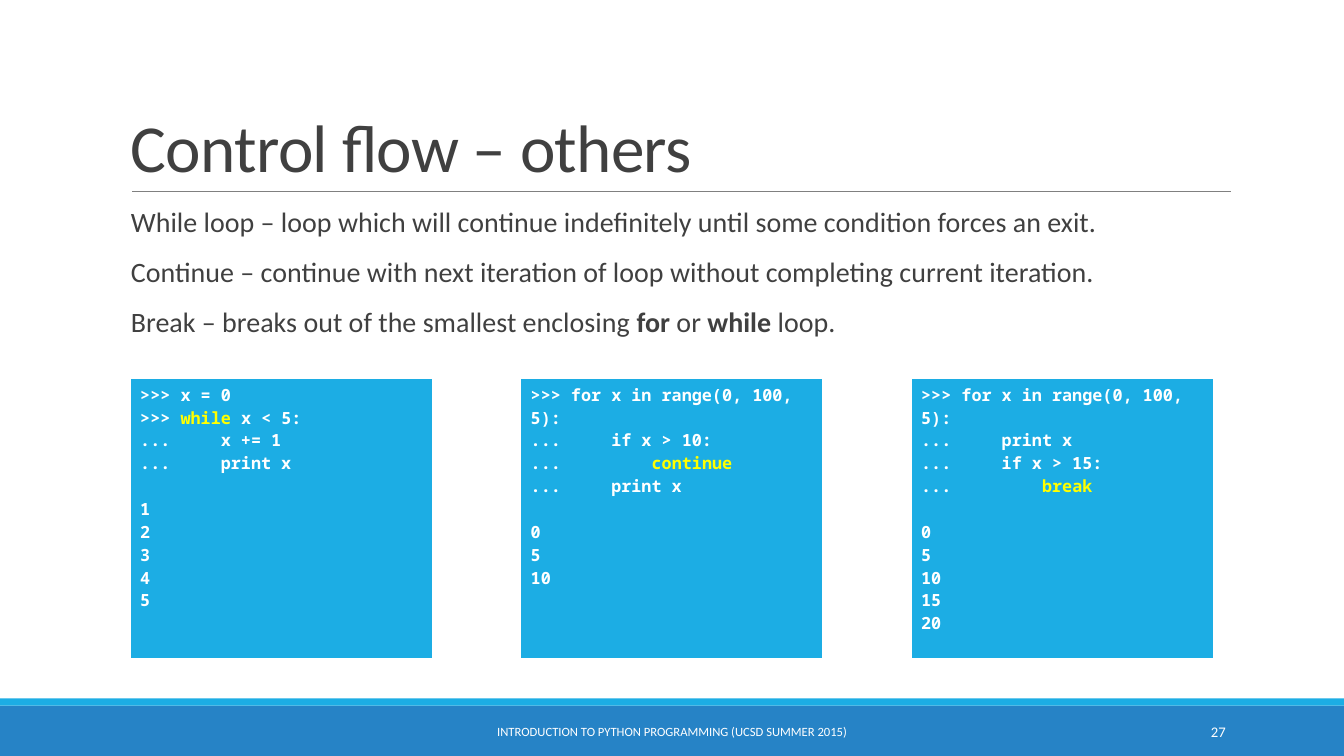
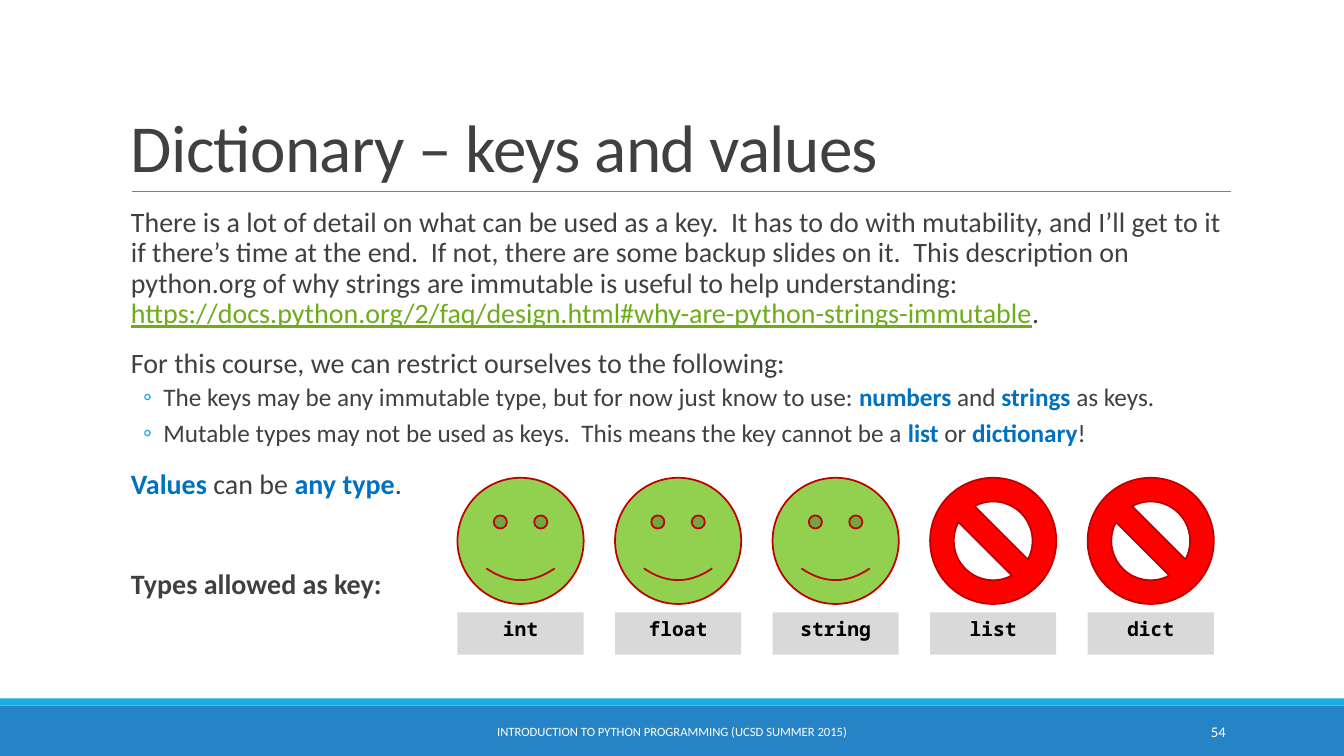
from collections import namedtuple

import pptx
import pptx.dml.color
import pptx.enum.shapes
import pptx.enum.text
import pptx.oxml
import pptx.oxml.ns
import pptx.util
from lxml import etree

Cm = pptx.util.Cm
Pt = pptx.util.Pt
SHAPE = pptx.enum.shapes.MSO_SHAPE
ALIGN = pptx.enum.text.PP_ALIGN
ANCHOR = pptx.enum.text.MSO_ANCHOR
qn = pptx.oxml.ns.qn

Box = namedtuple("Box", "left top width height")
Paragraph = namedtuple("Paragraph", "runs font layout bullet", defaults=(None,))

INK, WHITE, BLACK = "404040", "FFFFFF", "000000"
SKY, BLUE, EMPHASIS = "1CADE4", "2683C6", "0070C0"
YELLOW, LINK = "FFFF00", "6EAC1C"
RULE, LABEL_GREY = "808080", "D9D9D9"
GREEN, RED, DARK_RED = "92D050", "FF0000", "C00000"

PAGE = Box(0, 0, 33.87, 19.05)
TITLE = Box(3.05, 0.79, 27.94, 4.04)
BODY = Box(3.05, 5.13, 27.94, 11.18)
FOOTER = Box(0, 17.6, 33.87, 1.45)
CODE_ROW = Box(3.28, 9.53, 27.3, 7.09)
KEY_ROW = Box(11.53, 12.04, 19.06, 4.46)

FOOTER_TEXT = "INTRODUCTION TO PYTHON PROGRAMMING (UCSD SUMMER 2015)"

TITLE_FONT = {"name": "Calibri", "size": Pt(48), "color": INK}
BODY_FONT = {"name": "Calibri", "size": Pt(20), "color": INK}
DETAIL_FONT = BODY_FONT | {"size": Pt(18)}
FOOTER_FONT = {"name": "Calibri", "size": Pt(9), "color": WHITE}
NUMBER_FONT = FOOTER_FONT | {"size": Pt(10.5)}
CODE_FONT = {"name": "Noto Sans Mono", "size": Pt(12), "color": WHITE, "bold": True}
LABEL_FONT = CODE_FONT | {"size": Pt(14), "color": BLACK}

BOLD = {"bold": True}
STRONG = {"bold": True, "color": EMPHASIS}
URL = {"underline": True, "color": LINK}
KEYWORD = {"color": YELLOW}

BODY_LAYOUT = {"line_spacing": 0.9, "space_before": Pt(12), "space_after": Pt(2)}
DETAIL_LAYOUT = {"line_spacing": 0.9, "space_before": Pt(2), "space_after": Pt(4)}
BODY_INDENT, DETAIL_INDENT, DETAIL_HANG = 0.25, 1.07, 0.51


def rgb(value):
    return pptx.dml.color.RGBColor.from_string(value)


def apply(target, values):
    for name, value in values.items():
        if name == "color":
            target.color.rgb = rgb(value)
        else:
            setattr(target, name, value)


def place(box):
    return [Cm(length) for length in box]


def write(frame, paragraphs):
    for index, content in enumerate(paragraphs):
        paragraph = frame.add_paragraph() if index else frame.paragraphs[0]
        if content.bullet:
            content.bullet(paragraph)
        layout = content.layout if index else content.layout | {"space_before": Pt(0)}
        apply(paragraph, layout)
        for item in content.runs:
            words, emphasis = (item, {}) if isinstance(item, str) else item
            run = paragraph.add_run()
            run.text = words
            apply(run.font, content.font | emphasis)


def add_text(slide, box, paragraphs, **frame_format):
    frame = slide.shapes.add_textbox(*place(box)).text_frame
    apply(frame, {"word_wrap": True} | frame_format)
    write(frame, paragraphs)
    return frame


def add_block(slide, kind, box, fill, outline=None):
    block = slide.shapes.add_shape(kind, *place(box))
    block.shadow.inherit = False
    block.fill.solid()
    block.fill.fore_color.rgb = rgb(fill)
    if outline:
        block.line.color.rgb = rgb(outline)
        block.line.width = Pt(1.25)
    else:
        block.line.fill.background()
    return block


def body_indent(paragraph):
    paragraph._p.get_or_add_pPr().set("marL", str(Cm(BODY_INDENT)))


def detail_bullet(paragraph):
    properties = paragraph._p.get_or_add_pPr()
    properties.set("marL", str(Cm(DETAIL_INDENT)))
    properties.set("indent", str(-Cm(DETAIL_HANG)))
    colour = etree.SubElement(properties, qn("a:buClr"))
    etree.SubElement(colour, qn("a:srgbClr")).set("val", SKY)
    etree.SubElement(properties, qn("a:buFont")).set("typeface", "Calibri")
    etree.SubElement(properties, qn("a:buChar")).set("char", "◦")


def statement(*runs, **layout):
    return Paragraph(runs, BODY_FONT, BODY_LAYOUT | layout, body_indent)


def detail(*runs):
    return Paragraph(runs, DETAIL_FONT, DETAIL_LAYOUT, detail_bullet)


def add_title(slide, box, words):
    frame = add_text(slide, box, [Paragraph([words], TITLE_FONT, {"line_spacing": 0.85})],
                     vertical_anchor=ANCHOR.BOTTOM)
    frame.paragraphs[0].runs[0].font._element.set("spc", "-50")
    base = Cm(box.top + box.height)
    rule = slide.shapes.add_connector(
        pptx.enum.shapes.MSO_CONNECTOR.STRAIGHT,
        Cm(box.left + 0.28), base, Cm(box.left + box.width + 0.02), base)
    rule.line.color.rgb = rgb(RULE)
    rule.line.width = Pt(0.5)
    etree.SubElement(rule._element.spPr, qn("a:effectLst"))


def add_footer(slide, box, number):
    stripe = 0.18
    add_block(slide, SHAPE.RECTANGLE,
              Box(box.left, box.top + stripe, box.width, box.height - stripe), BLUE)
    add_block(slide, SHAPE.RECTANGLE, box._replace(height=stripe), SKY)
    for left, width, words, font, alignment in (
            (10.24, 13.39, FOOTER_TEXT, FOOTER_FONT, ALIGN.CENTER),
            (27.51, 3.63, str(number), NUMBER_FONT, ALIGN.RIGHT)):
        add_text(slide, Box(box.left + left, box.top + 0.33, width, 1.02),
                 [Paragraph([words], font, {"alignment": alignment})],
                 vertical_anchor=ANCHOR.MIDDLE)


def add_body(slide, box, paragraphs):
    add_text(slide, box, paragraphs, margin_left=0, margin_right=0)


def add_borders(cell):
    properties = cell._tc.get_or_add_tcPr()
    for position, (side, weight) in enumerate((("L", 1), ("R", 1), ("T", 1), ("B", 3))):
        border = etree.Element(qn(f"a:ln{side}"), w=str(Pt(weight)))
        fill = etree.SubElement(border, qn("a:solidFill"))
        etree.SubElement(fill, qn("a:srgbClr")).set("val", WHITE)
        properties.insert(position, border)


def highlight(line, keyword):
    before, found, after = line.partition(keyword)
    return [run for run in (before, (found, KEYWORD), after) if run and run[0]]


def add_code(slide, box, keyword, code, output):
    table = slide.shapes.add_table(1, 1, *place(box)).table
    apply(table, {"first_row": False, "horz_banding": False})
    cell = table.cell(0, 0)
    cell.fill.solid()
    cell.fill.fore_color.rgb = rgb(SKY)
    add_borders(cell)
    lines = [Paragraph(highlight(line, keyword), CODE_FONT, {}) for line in code]
    for index, line in enumerate(output):
        layout = {} if index else {"space_before": Pt(16.3)}
        lines.append(Paragraph([line], CODE_FONT, layout))
    write(cell.text_frame, lines)


def add_code_row(slide, box, examples):
    width = 7.62
    pitch = (box.width - width) / (len(examples) - 1)
    for index, example in enumerate(examples):
        add_code(slide, Box(box.left + index * pitch, box.top, width, box.height), *example)


def add_key_types(slide, box, key_types):
    size, label_height = 3.18, 1.07
    pitch = (box.width - size) / (len(key_types) - 1)
    for index, (name, allowed) in enumerate(key_types):
        left = box.left + index * pitch
        sign, fill = (SHAPE.SMILEY_FACE, GREEN) if allowed else (SHAPE.NO_SYMBOL, RED)
        add_block(slide, sign, Box(left, box.top, size, size), fill, DARK_RED)
        label = add_block(
            slide, SHAPE.RECTANGLE,
            Box(left, box.top + box.height - label_height, size, label_height), LABEL_GREY)
        label.text_frame.vertical_anchor = ANCHOR.TOP
        write(label.text_frame, [Paragraph([name], LABEL_FONT, {"alignment": ALIGN.CENTER})])


def add_page(deck, title, number, paragraphs):
    slide = deck.slides.add_slide(deck.slide_layouts[6])
    add_footer(slide, FOOTER, number)
    add_title(slide, TITLE, title)
    add_body(slide, BODY, paragraphs)
    return slide


def control_flow(deck):
    slide = add_page(deck, "Control flow – others", 27, [
        statement("While loop – loop which will continue indefinitely until some "
                  "condition forces an exit."),
        statement("Continue – continue with next iteration of loop without completing "
                  "current iteration."),
        statement("Break – breaks out of the smallest enclosing ", ("for", BOLD), " or ",
                  ("while", BOLD), " loop."),
    ])
    add_code_row(slide, CODE_ROW, [
        ("while",
         [">>> x = 0", ">>> while x < 5:", "...     x += 1", "...     print x"],
         ["1", "2", "3", "4", "5"]),
        ("continue",
         [">>> for x in range(0, 100, 5):", "...     if x > 10:",
          "...         continue", "...     print x"],
         ["0", "5", "10"]),
        ("break",
         [">>> for x in range(0, 100, 5):", "...     print x",
          "...     if x > 15:", "...         break"],
         ["0", "5", "10", "15", "20"]),
    ])


def dictionary_keys(deck):
    slide = add_page(deck, "Dictionary – keys and values", 54, [
        statement("There is a lot of detail on what can be used as a key.  It has to do with "
                  "mutability, and I’ll get to it if there’s time at the end.  If not, there "
                  "are some backup slides on it.  This description on python.org of why "
                  "strings are immutable is useful to help understanding: ",
                  ("https://docs.python.org/2/faq/design.html"
                   "#why-are-python-strings-immutable", URL), "."),
        statement("For this course, we can restrict ourselves to the following:"),
        detail("The keys may be any immutable type, but for now just know to use: ",
               ("numbers", STRONG), " and ", ("strings", STRONG), " as keys."),
        detail("Mutable types may not be used as keys.  This means the key cannot be a ",
               ("list", STRONG), " or ", ("dictionary", STRONG), "!"),
        statement(("Values", STRONG), " can be ", ("any type", STRONG), "."),
        statement(("Types allowed as key:", BOLD), space_before=Pt(47.7)),
    ])
    add_key_types(slide, KEY_ROW, [
        ("int", True), ("float", True), ("string", True), ("list", False), ("dict", False)])


def main():
    deck = pptx.Presentation()
    apply(deck, {"slide_width": Cm(PAGE.width), "slide_height": Cm(PAGE.height)})
    control_flow(deck)
    dictionary_keys(deck)
    deck.save("out.pptx")


if __name__ == "__main__":
    main()
